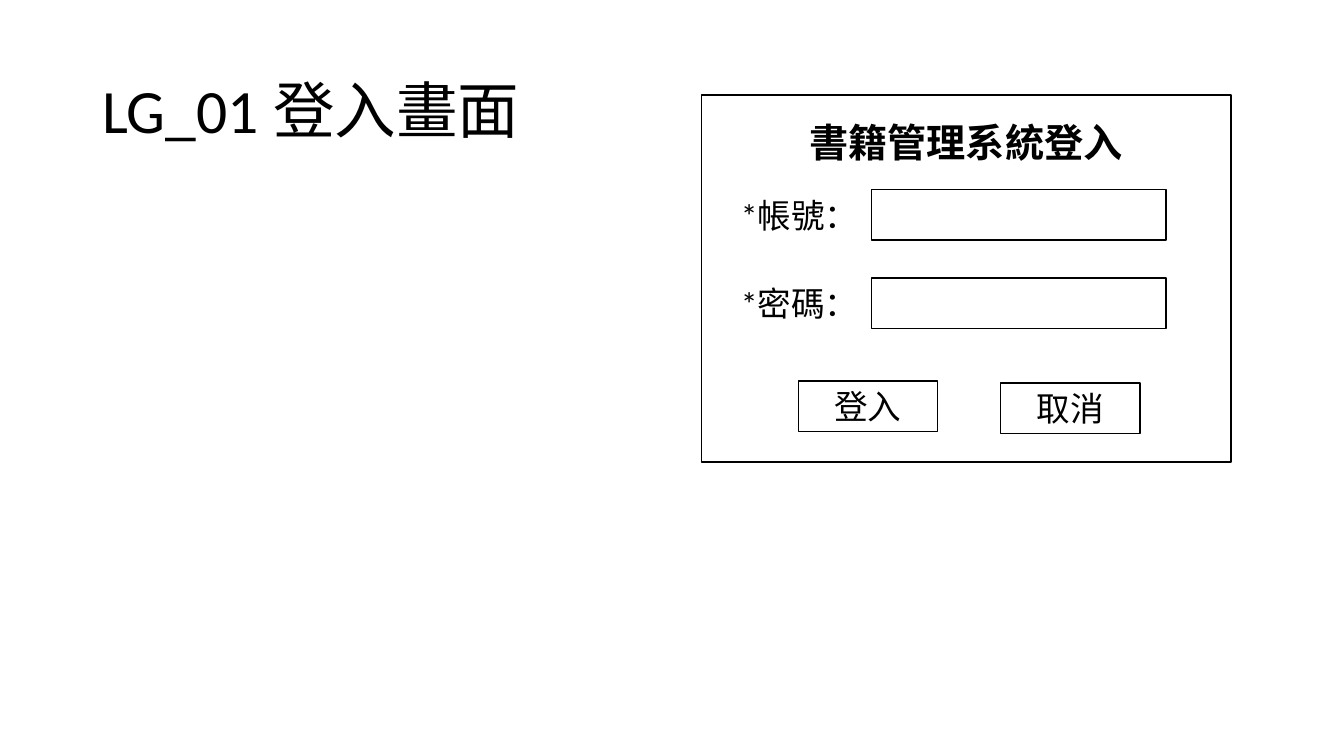
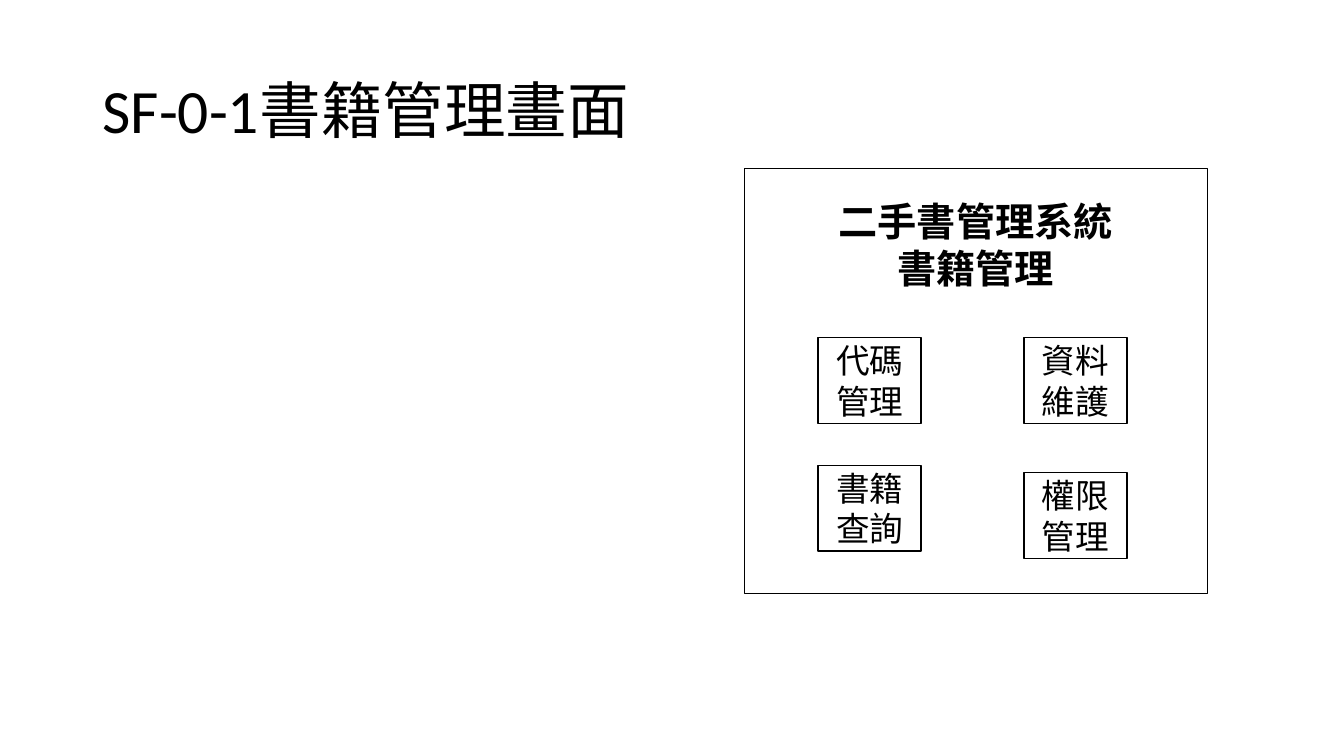
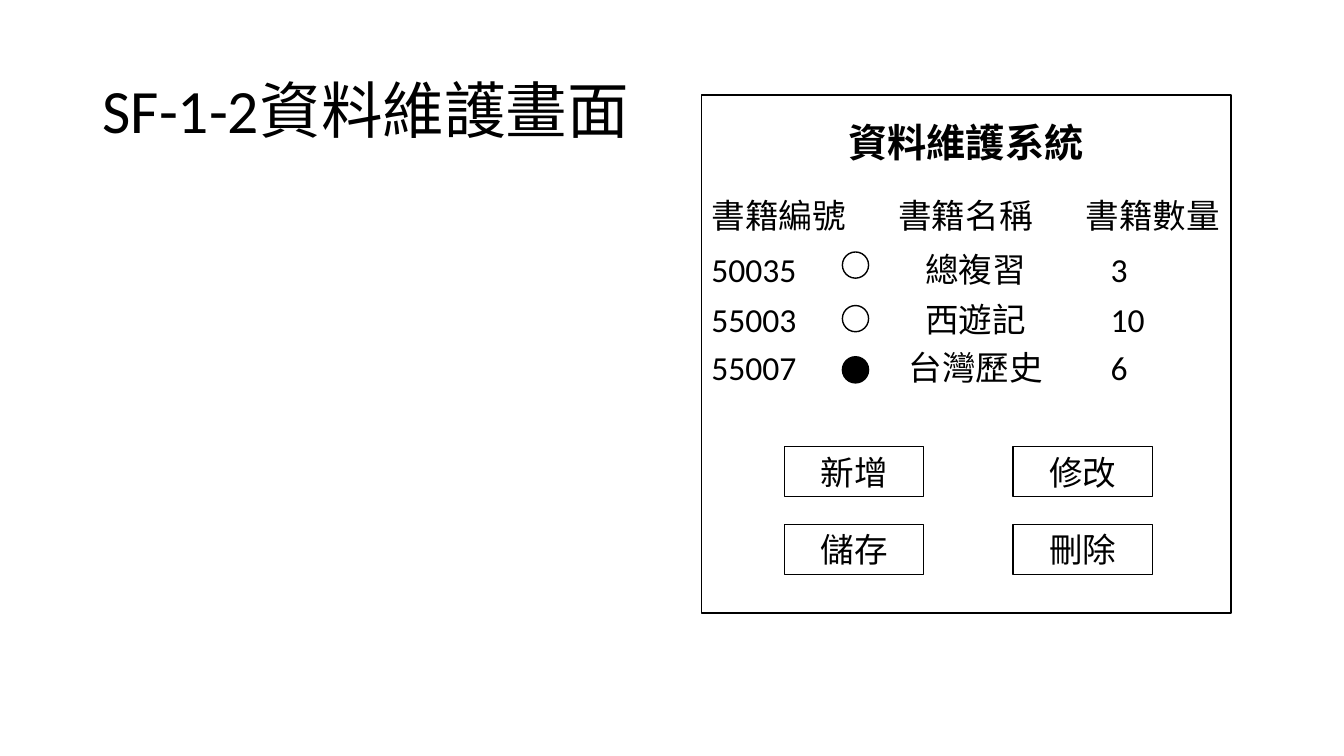
"""Builds three wireframe slides for a second-hand book management system."""
import pptx
import pptx.dml.color
import pptx.enum.shapes
import pptx.enum.text
import pptx.oxml.ns
import pptx.util
from lxml import etree

Cm = pptx.util.Cm
Shape = pptx.enum.shapes.MSO_SHAPE
Align = pptx.enum.text.PP_ALIGN
Anchor = pptx.enum.text.MSO_ANCHOR
qn = pptx.oxml.ns.qn

COLOURS = {"ink": "000000", "paper": "FFFFFF"}
LATIN, CJK = "Calibri", "Noto Sans CJK SC"
HEADING = {"font": CJK, "size": 28, "bold": True, "align": Align.CENTER, "anchor": Anchor.MIDDLE}
BUTTON = {"align": Align.CENTER, "anchor": Anchor.MIDDLE}
TILE = {**BUTTON, "font": CJK}

PANEL_LEFT, PANEL_TOP, PANEL_WIDTH = 17.68, 2.39, 13.34
HEADING_PLACE = (17.93, 2.79, 12.83, 1.57)
FIRST_ROW, ROW_HEIGHT = 4.78, 1.27
BUTTON_WIDTH = 3.51


def write(holder, text, font=LATIN, size=24, bold=False, align=Align.LEFT,
          anchor=Anchor.TOP, wrap=True, spacing=None, tabs=()):
    """Put formatted text into a shape, text box or placeholder."""
    frame = holder.text_frame
    frame.text = text
    frame.word_wrap = wrap
    frame.auto_size = pptx.enum.text.MSO_AUTO_SIZE.NONE
    frame.vertical_anchor = anchor
    for paragraph in frame.paragraphs:
        paragraph.alignment = align
        if spacing:
            paragraph.line_spacing = spacing
        if tabs:
            stops = etree.SubElement(paragraph._p.get_or_add_pPr(), qn("a:tabLst"))
            for position, kind in tabs:
                etree.SubElement(stops, qn("a:tab"), pos=str(Cm(position)), algn=kind)
        for run in paragraph.runs:
            run.font.size = pptx.util.Pt(size)
            run.font.bold = bold
            run.font.color.rgb = pptx.dml.color.RGBColor.from_string(COLOURS["ink"])
            run.font.name = font
            etree.SubElement(run._r.get_or_add_rPr(), qn("a:ea"), typeface=CJK)


def outline(slide, place, fill="paper", kind=Shape.RECTANGLE):
    """Draw a thin-lined shape; no fill when fill is None."""
    drawn = slide.shapes.add_shape(kind, *map(Cm, place))
    drawn.shadow.inherit = False
    drawn.line.color.rgb = pptx.dml.color.RGBColor.from_string(COLOURS["ink"])
    drawn.line.width = pptx.util.Pt(1)
    if fill:
        drawn.fill.solid()
        drawn.fill.fore_color.rgb = pptx.dml.color.RGBColor.from_string(COLOURS[fill])
    else:
        drawn.fill.background()
    return drawn


deck = pptx.Presentation()
deck.slide_width, deck.slide_height = Cm(33.87), Cm(19.05)

screens = [
    ("LG_01 登入畫面", (PANEL_LEFT, PANEL_TOP, PANEL_WIDTH, 9.25),
     "書籍管理系統登入", HEADING_PLACE),
    ("SF-0-1書籍管理畫面", (18.77, 4.24, 11.66, 10.72),
     "二手書管理系統\n書籍管理", (19.13, 4.6, 10.92, 3.12)),
    ("SF-1-2資料維護畫面", (PANEL_LEFT, PANEL_TOP, PANEL_WIDTH, 13.06),
     "資料維護系統", HEADING_PLACE),
]
for title, panel_place, heading, heading_place in screens:
    slide = deck.slides.add_slide(deck.slide_layouts[5])
    banner = slide.shapes.title
    banner.left, banner.top, banner.width, banner.height = map(Cm, (2.33, 1.01, 29.21, 3.68))
    write(banner, title, size=44, anchor=Anchor.MIDDLE, spacing=0.9)
    outline(slide, panel_place, fill=None)
    write(slide.shapes.add_textbox(*map(Cm, heading_place)), heading, **HEADING)

login, menu, upkeep = deck.slides

for row, label in enumerate(["*帳號：", "*密碼："]):
    top = FIRST_ROW + row * 2.23
    write(login.shapes.add_textbox(*map(Cm, (18.42, top, 3.35, ROW_HEIGHT))), label, wrap=False)
    outline(login, (21.97, top, 7.42, ROW_HEIGHT))

buttons = [
    (login, "登入", 20.12, 9.6), (login, "取消", 25.22, 9.65),
    (upkeep, "新增", 19.77, 11.25), (upkeep, "修改", 25.53, 11.25),
    (upkeep, "儲存", 19.77, 13.21), (upkeep, "刪除", 25.53, 13.21),
]
for slide, caption, left, top in buttons:
    write(outline(slide, (left, top, BUTTON_WIDTH, ROW_HEIGHT)), caption, **BUTTON)

tiles = [
    ("代碼\n管理", 20.62, 8.51), ("資料維護", 25.81, 8.51),
    ("書籍查詢", 20.62, 11.73), ("權限管理", 25.81, 11.91),
]
for caption, left, top in tiles:
    write(outline(menu, (left, top, 2.59, 2.16)), caption, **TILE)

header_tabs = [(6.4, "ctr"), (9.43, "l")]
book_tabs = [(6.66, "ctr"), (10.06, "l")]
book_rows = [
    (("書籍編號", "書籍名稱", "書籍數量"), FIRST_ROW, header_tabs),
    (("50035", "總複習", "3"), 6.15, book_tabs),
    (("55003", "西遊記", "10"), 7.42, book_tabs),
    (("55007", "台灣歷史", "6"), 8.61, book_tabs),
]
for cells, top, tabs in book_rows:
    row_place = (PANEL_LEFT, top, PANEL_WIDTH, ROW_HEIGHT)
    write(upkeep.shapes.add_textbox(*map(Cm, row_place)), "\t".join(cells), tabs=tabs)

for top, fill in [(6.35, None), (7.7, None), (8.99, "ink")]:
    outline(upkeep, (21.23, top, 0.66, 0.66), fill=fill, kind=Shape.OVAL)

deck.save("out.pptx")
